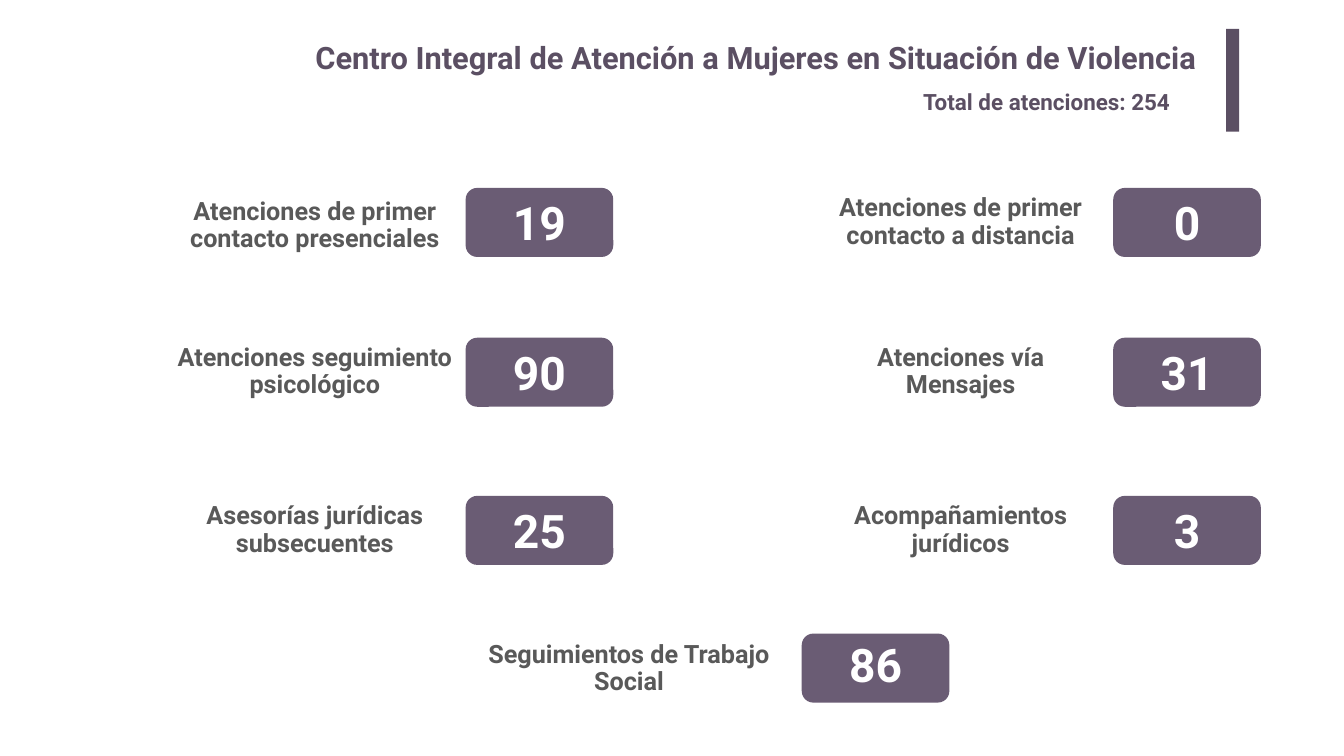
from dataclasses import dataclass

from pptx import Presentation
from pptx.dml.color import RGBColor
from pptx.enum.shapes import MSO_SHAPE
from pptx.enum.text import MSO_ANCHOR, MSO_AUTO_SIZE, PP_ALIGN
from pptx.slide import Slide
from pptx.util import Cm, Pt

HEADING = RGBColor(0x5B, 0x4F, 0x63)
BADGE = RGBColor(0x6A, 0x5C, 0x74)
LABEL = RGBColor(0x59, 0x59, 0x59)
WHITE = RGBColor(0xFF, 0xFF, 0xFF)

BADGE_WIDTH, BADGE_HEIGHT = 7.44, 3.48
NUMBER_WIDTH, NUMBER_HEIGHT = 5.18, 3.07
CORNER = 0.167


@dataclass(frozen=True)
class Column:
    label_center: float
    badge_left: float


@dataclass(frozen=True)
class Metric:
    label: str
    value: str
    column: Column
    top: float
    label_width: float
    label_height: float
    label_drop: float = 0
    number_drop: float = 0.2


LEFT = Column(15.87, 23.47)
RIGHT = Column(48.42, 56.11)
MIDDLE = Column(31.7, 40.41)
ROWS = (9.47, 17.02, 24.99, 31.93)

METRICS = (
    Metric("Atenciones de primer contacto presenciales", "19", LEFT, ROWS[0], 13.92, 3.48, 0.18),
    Metric("Atenciones de primer contacto a distancia", "0", RIGHT, ROWS[0], 13.11, 3.07),
    Metric("Atenciones seguimiento psicológico", "90", LEFT, ROWS[1], 19.84, 1.35),
    Metric("Atenciones vía\vMensajes", "31", RIGHT, ROWS[1], 15.04, 2.67),
    Metric("Asesorías jurídicas subsecuentes", "25", LEFT, ROWS[2], 15.37, 2.03),
    Metric("Acompañamientos jurídicos", "3", RIGHT, ROWS[2], 16.41, 1.63),
    Metric("Seguimientos de Trabajo Social", "86", MIDDLE, ROWS[3], 16.46, 3.58, 0.05, 0),
)


def add_text(slide: Slide, text: str, left: float, top: float, width: float, height: float,
             size: int, color: RGBColor, frame_format: dict, para_format: dict) -> None:
    box = slide.shapes.add_textbox(Cm(left), Cm(top), Cm(width), Cm(height))
    frame = box.text_frame
    frame.text = text
    para = frame.paragraphs[0]
    font_format = {"name": "Roboto", "size": Pt(size), "bold": True}
    formats = (
        (frame, {"word_wrap": True, "auto_size": MSO_AUTO_SIZE.NONE} | frame_format),
        (para, para_format),
    )
    for target, values in formats:
        for name, value in values.items():
            setattr(target, name, value)
    for span in para.runs:
        for name, value in font_format.items():
            setattr(span.font, name, value)
        span.font.color.rgb = color


def add_block(slide: Slide, kind: MSO_SHAPE, left: float, top: float,
              width: float, height: float, color: RGBColor) -> None:
    block = slide.shapes.add_shape(kind, Cm(left), Cm(top), Cm(width), Cm(height))
    block.shadow.inherit = False
    block.fill.solid()
    block.fill.fore_color.rgb = color
    block.line.fill.background()
    if kind == MSO_SHAPE.ROUNDED_RECTANGLE:
        block.adjustments[0] = CORNER


def add_metric(slide: Slide, metric: Metric) -> None:
    column = metric.column
    label_middle = metric.top + BADGE_HEIGHT / 2 + metric.label_drop
    add_text(slide, metric.label,
             column.label_center - metric.label_width / 2,
             label_middle - metric.label_height / 2,
             metric.label_width, metric.label_height, 36, LABEL,
             {"vertical_anchor": MSO_ANCHOR.MIDDLE},
             {"alignment": PP_ALIGN.CENTER, "line_spacing": 0.9})
    add_block(slide, MSO_SHAPE.ROUNDED_RECTANGLE, column.badge_left, metric.top,
              BADGE_WIDTH, BADGE_HEIGHT, BADGE)
    add_text(slide, metric.value,
             column.badge_left + (BADGE_WIDTH - NUMBER_WIDTH) / 2,
             metric.top + metric.number_drop, NUMBER_WIDTH, NUMBER_HEIGHT, 66, WHITE,
             {"auto_size": MSO_AUTO_SIZE.SHAPE_TO_FIT_TEXT},
             {"alignment": PP_ALIGN.CENTER})


def main() -> None:
    deck = Presentation()
    deck.slide_width, deck.slide_height = Cm(67.74), Cm(38.1)
    page = deck.slides.add_slide(deck.slide_layouts[6])

    # Heading
    add_text(page, "Centro Integral de Atención a Mujeres en Situación de Violencia",
             9.3, 1.7, 51.56, 2.59, 44, HEADING,
             {"margin_left": Cm(0.51), "margin_right": Cm(0.51),
              "margin_top": Cm(0.25), "margin_bottom": Cm(0.25)},
             {"alignment": PP_ALIGN.RIGHT})
    add_block(page, MSO_SHAPE.RECTANGLE, 61.8, 1.45, 0.66, 5.18, HEADING)
    add_text(page, "Total de atenciones: 254", 46.28, 4.34, 15.04, 1.63, 32, HEADING,
             {"auto_size": MSO_AUTO_SIZE.SHAPE_TO_FIT_TEXT}, {"alignment": PP_ALIGN.LEFT})

    # Labels with their counts
    for metric in METRICS:
        add_metric(page, metric)

    deck.save("out.pptx")


if __name__ == "__main__":
    main()
